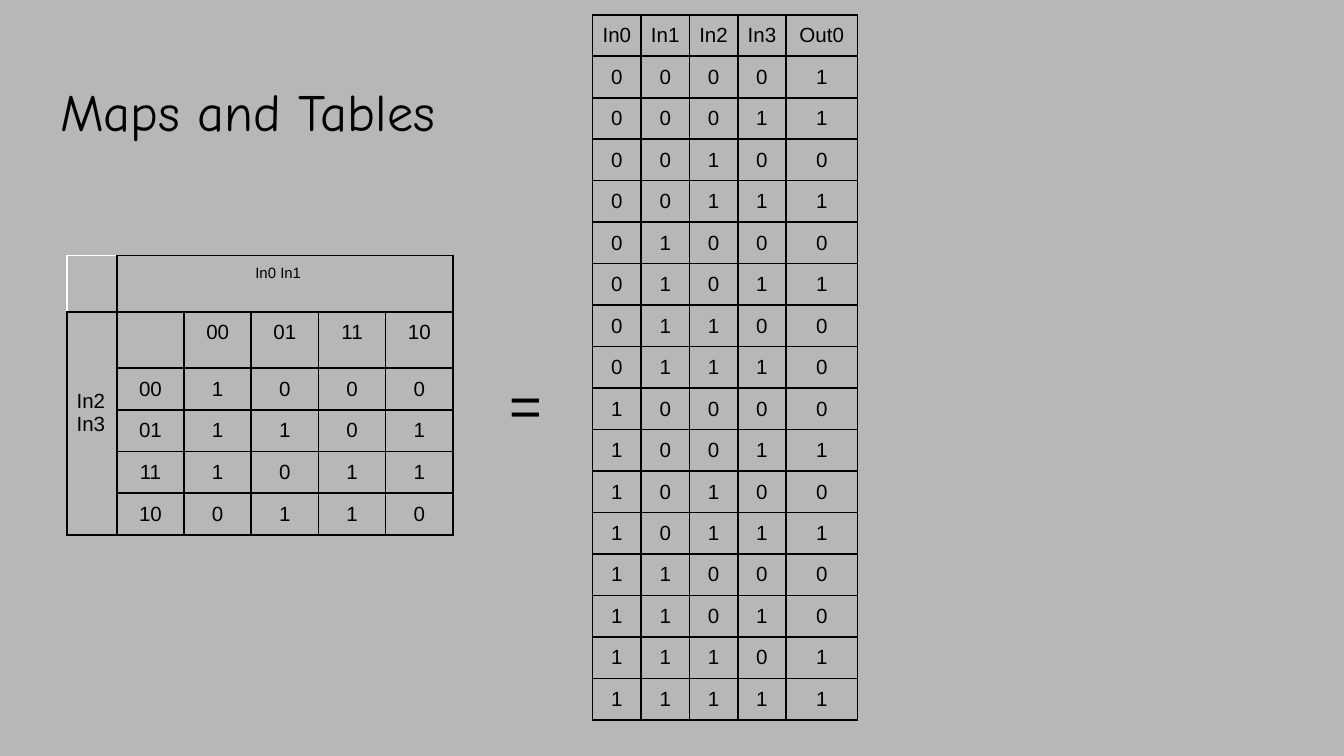
from itertools import product

from lxml import etree
from pptx import Presentation
from pptx.dml.color import RGBColor
from pptx.enum.text import PP_ALIGN
from pptx.oxml.ns import qn
from pptx.util import Inches, Pt

CENTER, LEFT = PP_ALIGN.CENTER, PP_ALIGN.LEFT
GRAY = RGBColor(0xB7, 0xB7, 0xB7)
BLACK = RGBColor(0, 0, 0)
WHITE = RGBColor(0xFF, 0xFF, 0xFF)
CELL_MARGIN = Inches(0.07)
CELL_BOTTOM = Inches(0.05)

# Content
TEXTS = [  # text, left, top, width, height, size, font
    ("Maps and Tables", 0.35, 0.49, 9.32, 0.63, 28, "Comic Neue"),
    ("=", 3.69, 2.66, 0.51, 0.72, 30, "Arial"),
]
MAP_ROWS = [
    ["", "In0 In1", "", "", "", ""],
    ["In2\nIn3", "", "00", "01", "11", "10"],
    ["", "00", "1", "0", "0", "0"],
    ["", "01", "1", "1", "0", "1"],
    ["", "11", "1", "0", "1", "1"],
    ["", "10", "0", "1", "1", "0"],
]
OUTPUTS = "1101010001010011"
TRUTH_ROWS = [["In0", "In1", "In2", "In3", "Out0"]] + [
    [*bits, out] for bits, out in zip(product("01", repeat=4), OUTPUTS)
]


def style_text(tf, size, font, align):
    for p in tf.paragraphs:
        p.alignment = align
        p.font.size = Pt(size)
        p.font.name = font
        p.font.color.rgb = BLACK


def set_borders(cell, **colors):
    """Draw the four cell edges in black unless a colour is given by side."""
    tcPr = cell._tc.get_or_add_tcPr()
    for i, side in enumerate("LRTB"):
        ln = etree.Element(qn("a:ln" + side), w=str(Pt(1)))
        fill = etree.SubElement(ln, qn("a:solidFill"))
        etree.SubElement(fill, qn("a:srgbClr"), val=str(colors.get(side, BLACK)))
        tcPr.insert(i, ln)


def add_grid(s, rows, left, top, widths, heights, edges):
    table = s.shapes.add_table(len(rows), len(widths), Inches(left), Inches(top),
                               Inches(sum(widths)), Inches(sum(heights))).table
    table.first_row = table.horz_banding = False
    for column, width in zip(table.columns, widths):
        column.width = Inches(width)
    for row, height in zip(table.rows, heights):
        row.height = Inches(height)
    for r, row in enumerate(rows):
        for c, text in enumerate(row):
            cell = table.cell(r, c)
            cell.fill.background()
            set_borders(cell, **edges.get((r, c), {}))
            cell.margin_left = cell.margin_right = cell.margin_top = CELL_MARGIN
            cell.margin_bottom = CELL_BOTTOM
            if text:
                cell.text = text
                style_text(cell.text_frame, 11, "Arial", CENTER)
    return table


prs = Presentation()
prs.slide_width, prs.slide_height = Inches(10), Inches(10 * 9 / 16)
s = prs.slides.add_slide(prs.slide_layouts[6])
s.background.fill.solid()
s.background.fill.fore_color.rgb = GRAY

# Title and equals sign
for text, left, top, width, height, size, font in TEXTS:
    tf = s.shapes.add_textbox(Inches(left), Inches(top),
                              Inches(width), Inches(height)).text_frame
    tf.word_wrap = True
    tf.margin_left = tf.margin_right = Inches(0.1)
    tf.margin_top = tf.margin_bottom = Inches(0.1)
    tf.text = text
    style_text(tf, size, font, LEFT)

# Karnaugh map, with a white outer corner and merged axis labels
kmap = add_grid(s, MAP_ROWS, 0.5, 1.9, [0.37] + [0.5] * 5,
                [0.42] * 2 + [0.31] * 4, {(0, 0): {"L": WHITE, "T": WHITE}})
across, down = kmap.cell(0, 1), kmap.cell(1, 0)
across.merge(kmap.cell(0, 5))
across.margin_left = Inches(1.03)
style_text(across.text_frame, 8, "Arial", LEFT)
down.merge(kmap.cell(5, 0))
down.margin_top = Inches(0.58)
style_text(down.text_frame, 11, "Arial", LEFT)

# Truth table
row_height = 5.25 / len(TRUTH_ROWS)
add_grid(s, TRUTH_ROWS, 4.41, 0.11, [0.36] * 4 + [0.53],
         [row_height] * len(TRUTH_ROWS), {})

prs.save("out.pptx")
